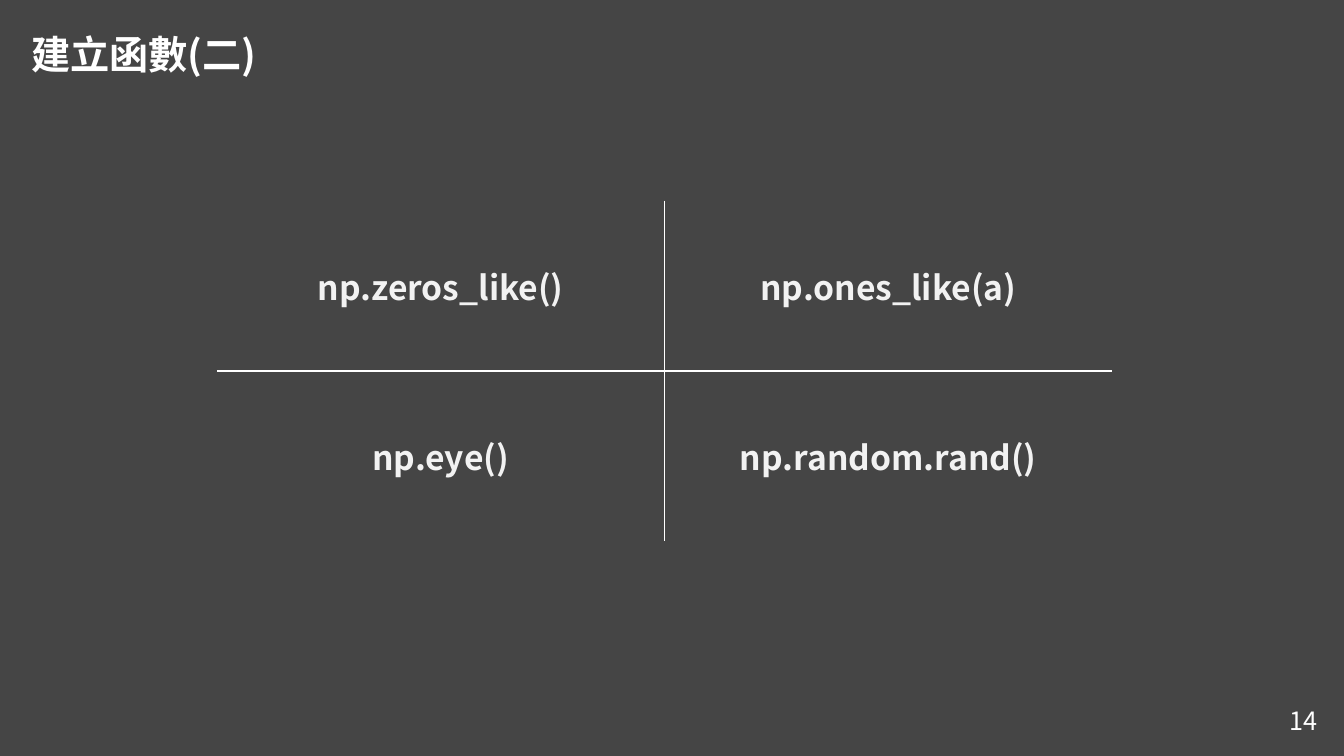
from lxml import etree
from pptx import Presentation
from pptx.dml.color import RGBColor
from pptx.enum.text import MSO_ANCHOR, PP_ALIGN
from pptx.oxml.ns import qn
from pptx.util import Inches, Pt

LEFT, CENTER, RIGHT = PP_ALIGN.LEFT, PP_ALIGN.CENTER, PP_ALIGN.RIGHT
MIDDLE = MSO_ANCHOR.MIDDLE

FUNCTIONS = [
    ["np.zeros_like()", "np.ones_like(a)"],
    ["np.eye()", "np.random.rand()"],
]


def color(value):
    return RGBColor.from_string(value)


class SlideBuilder:
    font_name = "Noto Sans CJK JP"
    background = "454545"
    white = "FFFFFF"
    cell_text = "F2F2F2"

    def __init__(self, presentation):
        self.slide = presentation.slides.add_slide(presentation.slide_layouts[6])
        fill = self.slide.background.fill
        fill.solid()
        fill.fore_color.rgb = color(self.background)

    def fill_text(self, frame, text, size, text_color, bold, alignment):
        paragraph = frame.paragraphs[0]
        paragraph.alignment = alignment
        run = paragraph.add_run()
        run.text = text
        formats = {"name": self.font_name, "size": Pt(size), "bold": bold}
        for attribute, value in formats.items():
            setattr(run.font, attribute, value)
        run.font.color.rgb = color(text_color)
        east_asian = etree.SubElement(run.font._element, qn("a:ea"))
        east_asian.set("typeface", self.font_name)

    def text(self, left, top, width, height, text, size, bold=False, alignment=LEFT):
        shape = self.slide.shapes.add_textbox(
            Inches(left), Inches(top), Inches(width), Inches(height)
        )
        formats = {"word_wrap": True, "vertical_anchor": MIDDLE}
        for attribute, value in formats.items():
            setattr(shape.text_frame, attribute, value)
        self.fill_text(shape.text_frame, text, size, self.white, bold, alignment)

    def borders(self, cell, visible_sides):
        properties = cell._tc.get_or_add_tcPr()
        for side in "LRTB":
            line = etree.SubElement(properties, qn(f"a:ln{side}"), w=str(Pt(1)))
            if side in visible_sides:
                fill = etree.SubElement(line, qn("a:solidFill"))
                etree.SubElement(fill, qn("a:srgbClr"), val=self.white)
            else:
                etree.SubElement(line, qn("a:noFill"))

    def cross_table(self, left, top, column_width, row_height, rows):
        row_count, column_count = len(rows), len(rows[0])
        table = self.slide.shapes.add_table(
            row_count,
            column_count,
            Inches(left),
            Inches(top),
            Inches(column_width * column_count),
            Inches(row_height * row_count),
        ).table
        for attribute in ("first_row", "horz_banding"):
            setattr(table, attribute, False)
        for row_index, row in enumerate(rows):
            for column_index, text in enumerate(row):
                cell = table.cell(row_index, column_index)
                cell.vertical_anchor = MIDDLE
                self.fill_text(cell.text_frame, text, 24, self.cell_text, True, CENTER)
                self.borders(cell, "RL"[column_index] + "BT"[row_index])
                cell.fill.background()


def main():
    presentation = Presentation()
    presentation.slide_width = Inches(13.33)
    presentation.slide_height = Inches(7.5)
    builder = SlideBuilder(presentation)
    builder.text(10.17, 6.95, 3, 0.4, "14", 18, alignment=RIGHT)
    builder.text(0.21, 0.25, 7.58, 0.57, "建立函數(二)", 28, bold=True)
    builder.cross_table(2.15, 1.99, 4.44, 1.69, FUNCTIONS)
    presentation.save("out.pptx")


if __name__ == "__main__":
    main()
